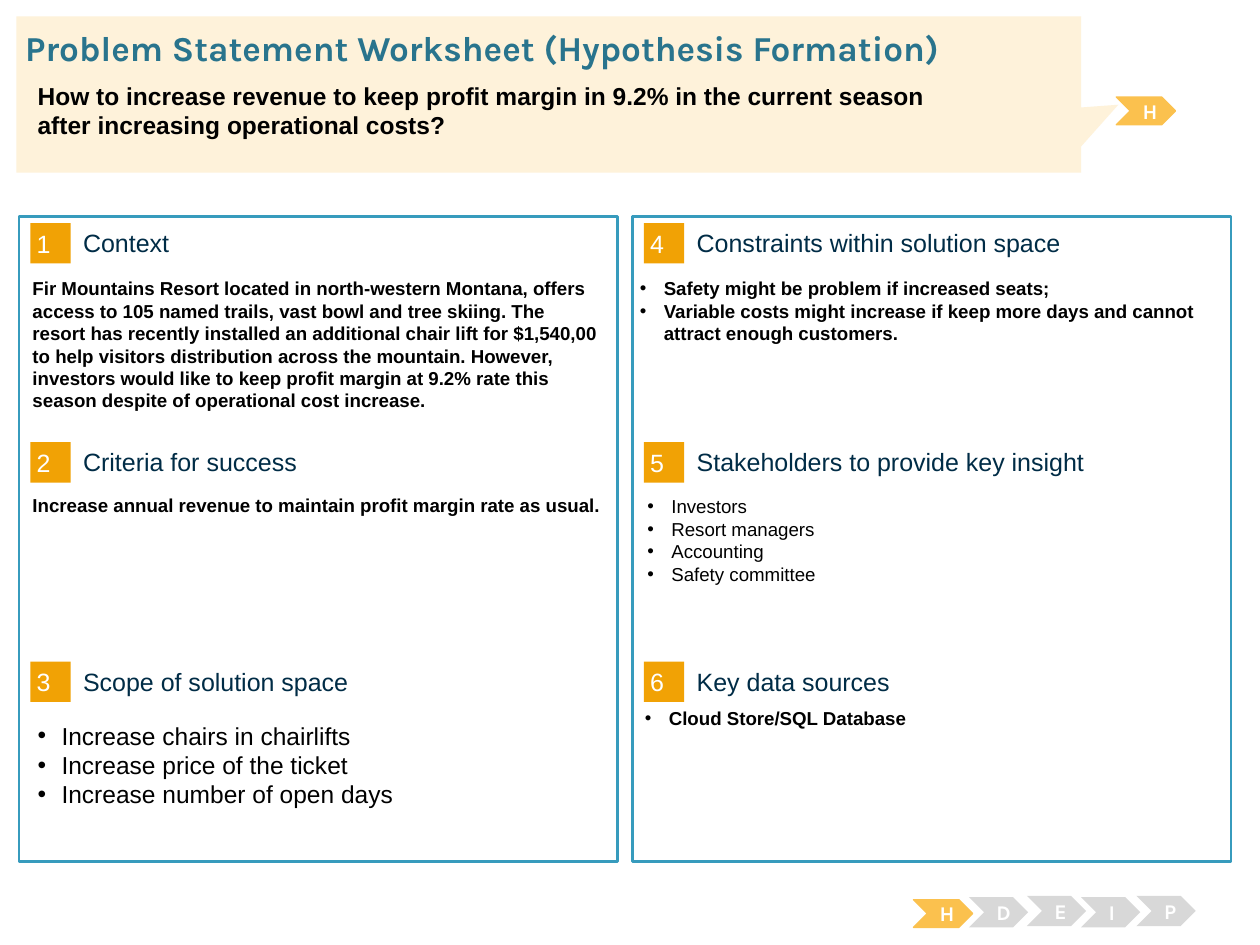
from lxml.etree import SubElement
from pptx import Presentation
from pptx.dml.color import RGBColor
from pptx.enum.shapes import MSO_SHAPE
from pptx.enum.text import MSO_ANCHOR, PP_ALIGN
from pptx.oxml.ns import qn
from pptx.util import Inches, Pt

TITLE = "Problem Statement Worksheet (Hypothesis Formation)"
QUESTION = ["How to increase revenue to keep profit margin in 9.2% in the current season",
            "after increasing operational costs?"]
SECTIONS = [
    dict(heading="Context", at=(0.16, 2.15), height=1.36, bold=True, lines=[
        "Fir Mountains Resort located in north-western Montana, offers access to 105 named "
        "trails, vast bowl and tree skiing. The resort has recently installed an additional "
        "chair lift for $1,540,00 to help visitors distribution across the mountain. However, "
        "investors would like to keep profit margin at 9.2% rate this season despite of "
        "operational cost increase."]),
    dict(heading="Criteria for success", at=(0.16, 3.87), height=1.54, bold=True, lines=[
        "Increase annual revenue to maintain profit margin rate as usual."]),
    dict(heading="Scope of solution space", at=(0.2, 5.67), height=0.82, size=14, bullet=True,
         lines=["Increase chairs in chairlifts", "Increase price of the ticket",
                "Increase number of open days"]),
    dict(heading="Constraints within solution space", at=(4.98, 2.15), height=1.18, bold=True,
         bullet=True, lines=[
             "Safety might be problem if increased seats;",
             "Variable costs might increase if keep more days and cannot attract enough customers."]),
    dict(heading="Stakeholders to provide key insight", at=(5.04, 3.88), height=1.18, bullet=True,
         lines=["Investors", "Resort managers", "Accounting", "Safety committee"]),
    dict(heading="Key data sources", at=(5.02, 5.56), height=1.18, bold=True, bullet=True,
         lines=["Cloud Store/SQL Database"]),
]
STEPS = [("H", 7.25, 7.14), ("D", 7.69, 7.12), ("E", 8.15, 7.11), ("I", 8.58, 7.12), ("P", 9.02, 7.11)]
CURRENT_STEP = "H"

ROWS = 3
PANEL_LEFT, PANEL_TOP, COLUMN_STEP, ROW_STEP = 0.15, 1.72, 4.87, 1.74
PADDED, TIGHT, NONE = (0.1, 0.05), (0.05, 0.05), (0, 0)

presentation = Presentation()
presentation.slide_width, presentation.slide_height = Inches(10), Inches(7.5)
slide = presentation.slides.add_slide(presentation.slide_layouts[6])


def color(hex_code):
    return RGBColor.from_string(hex_code)


def add_bullet(paragraph):
    properties = paragraph._p.get_or_add_pPr()
    properties.set("marL", str(Inches(0.19)))
    properties.set("indent", str(-Inches(0.19)))
    SubElement(properties, qn("a:buFont"), typeface="Arial")
    SubElement(properties, qn("a:buChar"), char="•")


def write(shape, lines, size, ink="000000", font="Arial", bold=False, bullet=False,
          insets=PADDED, anchor=MSO_ANCHOR.TOP, align=PP_ALIGN.LEFT):
    frame = shape.text_frame
    frame.text = "\n".join(lines)
    frame.word_wrap = True
    frame.vertical_anchor = anchor
    frame.margin_left = frame.margin_right = Inches(insets[0])
    frame.margin_top = frame.margin_bottom = Inches(insets[1])
    for paragraph in frame.paragraphs:
        paragraph.alignment = align
        if bullet:
            add_bullet(paragraph)
        for run in paragraph.runs:
            run.font.size, run.font.name, run.font.bold = Pt(size), font, bold
            run.font.color.rgb = color(ink)


def add_text(box, lines, size, **style):
    write(slide.shapes.add_textbox(*map(Inches, box)), lines, size, **style)


def add_block(kind, box, fill, outline=None, weight=0.75):
    block = slide.shapes.add_shape(kind, *map(Inches, box))
    block.shadow.inherit = False
    block.fill.solid()
    block.fill.fore_color.rgb = color(fill)
    if outline:
        block.line.color.rgb = color(outline)
        block.line.width = Pt(weight)
    else:
        block.line.fill.background()
    return block


def add_step(letter, left, top):
    current = letter == CURRENT_STEP
    chevron = add_block(MSO_SHAPE.CHEVRON, (left, top, 0.47, 0.22 if current else 0.24),
                        "FBC14E" if current else "D8D8D8", "FBC14E" if current else None)
    write(chevron, [letter], 12, "FFFFFF", "Karla", bold=True,
          anchor=MSO_ANCHOR.MIDDLE, align=PP_ALIGN.CENTER)


for column in range(2):
    add_block(MSO_SHAPE.RECTANGLE, (PANEL_LEFT + column * COLUMN_STEP, PANEL_TOP, 4.75, 5.12),
              "FFFFFF", "379BBD", 1.5)

for index, section in enumerate(SECTIONS):
    column, row = divmod(index, ROWS)
    left = PANEL_LEFT + 0.09 + column * COLUMN_STEP
    top = PANEL_TOP + 0.05 + row * ROW_STEP
    badge = add_block(MSO_SHAPE.RECTANGLE, (left, top, 0.32, 0.32), "F1A205")
    write(badge, [str(index + 1)], 14.3, "FFFFFF", insets=TIGHT, anchor=MSO_ANCHOR.MIDDLE)
    add_text((left + 0.42, top + 0.03, 3.93, 0.25), [section["heading"]], 14.3, ink="002C46",
             insets=NONE, anchor=MSO_ANCHOR.MIDDLE)
    add_text((*section["at"], 4.73, section["height"]), section["lines"], section.get("size", 10.7),
             bold=section.get("bold", False), bullet=section.get("bullet", False))

for step in STEPS:
    add_step(*step)
add_step(CURRENT_STEP, 8.86, 0.77)

callout = add_block(MSO_SHAPE.RECTANGULAR_CALLOUT, (0.13, 0.13, 8.45, 1.24), "FEF2DA")
callout.adjustments[0], callout.adjustments[1] = 0.535, 0.066
add_text((0.2, 0.21, 9.62, 0.34), [TITLE], 20, ink="29748D", font="Karla", bold=True, insets=NONE)
add_text((0.2, 0.59, 9.39, 0.54), QUESTION, 14, bold=True)

presentation.save("out.pptx")
